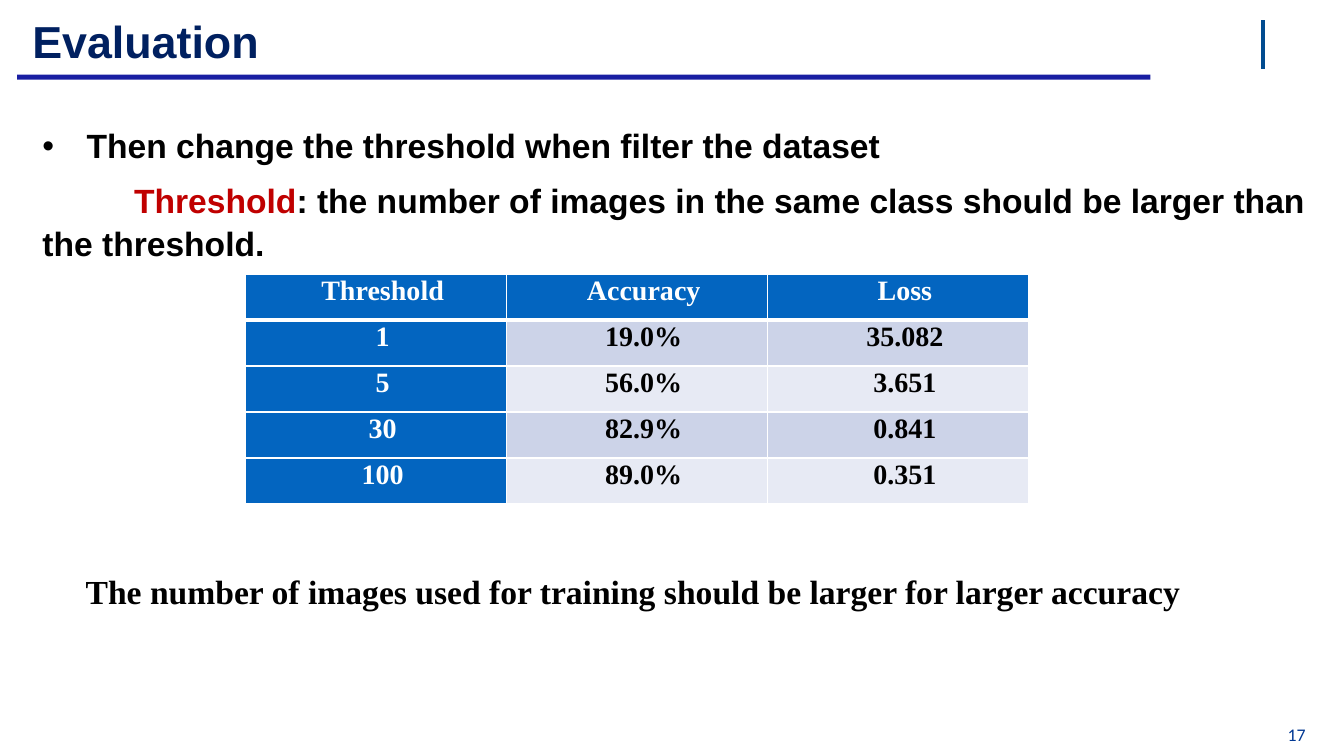
from lxml.etree import SubElement
from pptx import Presentation
from pptx.dml.color import RGBColor
from pptx.enum.shapes import MSO_CONNECTOR as Connector, MSO_SHAPE as Shape
from pptx.enum.text import MSO_ANCHOR as Anchor, MSO_AUTO_SIZE as AutoSize, PP_ALIGN as Align
from pptx.oxml import parse_xml
from pptx.oxml.ns import nsdecls, qn
from pptx.util import Emu, Pt

EMU_PER_PX = 9144
SERIF = "Times New Roman"
BLUE, WHITE, BLACK = "0365C0", "FFFFFF", "000000"
BAND_COLORS = ["CCD3E8", "E7EAF4"]
RESULTS = [
    ["Threshold", "Accuracy", "Loss"],
    ["1", "19.0%", "35.082"],
    ["5", "56.0%", "3.651"],
    ["30", "82.9%", "0.841"],
    ["100", "89.0%", "0.351"],
]


def px(length):
    return Emu(length * EMU_PER_PX)


def color(value):
    return RGBColor.from_string(value)


def format_run(run, size, name, value, bold=True):
    run.font.size = Pt(size)
    run.font.name = name
    run.font.bold = bold
    run.font.color.rgb = color(value)


def place(shape, left, top, width, height):
    shape.left, shape.top = px(left), px(top)
    shape.width, shape.height = px(width), px(height)


def set_frame(frame, inset, anchor, wrap=True):
    frame.margin_left = frame.margin_right = px(inset)
    frame.margin_top = frame.margin_bottom = px(inset)
    frame.vertical_anchor = anchor
    frame.word_wrap = wrap
    frame.auto_size = AutoSize.NONE if wrap else AutoSize.SHAPE_TO_FIT_TEXT


def set_indent(paragraph, left, first):
    properties = paragraph._p.get_or_add_pPr()
    properties.set("marL", str(px(left)))
    properties.set("indent", str(px(first)))
    return properties


def add_rule(slide):
    rule = slide.shapes.add_shape(Shape.RECTANGLE, px(17), px(74), px(1124), px(5))
    rule.shadow.inherit = False
    rule.fill.solid()
    rule.fill.fore_color.rgb = color("191EA2")
    rule.line.fill.background()


def add_divider(slide):
    divider = slide.shapes.add_connector(Connector.STRAIGHT, px(1253), px(20), px(1253), px(68))
    divider.line.color.rgb = color("024C90")
    divider.line.width = Pt(3)
    SubElement(divider._element.spPr, qn("a:effectLst"))


def fill_title(slide):
    title = slide.shapes.title
    place(title, 18, 1, 1117, 78)
    set_frame(title.text_frame, 14, Anchor.MIDDLE)
    title.text_frame.text = "Evaluation"
    paragraph = title.text_frame.paragraphs[0]
    paragraph.alignment = Align.LEFT
    format_run(paragraph.runs[0], 32, "Arial", "002060")


def fill_body(slide):
    body = slide.placeholders[1]
    place(body, 18, 122, 1295, 530)
    frame = body.text_frame
    set_frame(frame, 0, Anchor.TOP)
    frame.text = "Then change the threshold when filter the dataset"
    bullet, definition = frame.paragraphs[0], frame.add_paragraph()
    definition.add_run().text = "Threshold"
    definition.add_run().text = (
        ": the number of images in the same class should be larger than the threshold."
    )
    for paragraph in frame.paragraphs:
        paragraph.space_before = Pt(8.4)
        paragraph.line_spacing = 1.06
        for run in paragraph.runs:
            format_run(run, 24, "Arial", BLACK)
    definition.runs[0].font.color.rgb = color("C00000")
    SubElement(set_indent(bullet, 68, -44), qn("a:buChar")).set("char", "•")
    SubElement(set_indent(definition, 24, 91), qn("a:buNone"))


def add_label(slide, text, box, inset, anchor, align, size, name, value, bold):
    label = slide.shapes.add_textbox(*map(px, box))
    set_frame(label.text_frame, inset, anchor, wrap=False)
    label.text_frame.text = text
    paragraph = label.text_frame.paragraphs[0]
    paragraph.alignment = align
    format_run(paragraph.runs[0], size, name, value, bold)


def set_border(cell, side, width):
    cell._tc.get_or_add_tcPr().append(parse_xml(
        f'<a:{side} {nsdecls("a")} w="{Pt(width)}"><a:solidFill>'
        f'<a:srgbClr val="{WHITE}"/></a:solidFill></a:{side}>'
    ))


def format_cell(cell, row, column):
    is_heading = row == 0 or column == 0
    cell.margin_left = cell.margin_right = px(7)
    cell.margin_top = cell.margin_bottom = 0
    for side in ("lnL", "lnR", "lnT", "lnB"):
        heavy = (row, side) in [(0, "lnB"), (1, "lnT")]
        set_border(cell, side, 3 if heavy else 1)
    cell.fill.solid()
    cell.fill.fore_color.rgb = color(BLUE if is_heading else BAND_COLORS[(row - 1) % 2])
    paragraph = cell.text_frame.paragraphs[0]
    paragraph.alignment = Align.CENTER
    paragraph.line_spacing = 1.05
    set_indent(paragraph, 0, 14)
    format_run(paragraph.runs[0], 20, SERIF, WHITE if is_heading else BLACK)


def add_results(slide):
    rows, columns = len(RESULTS), len(RESULTS[0])
    table = slide.shapes.add_table(rows, columns, px(243), px(272), px(777), px(228)).table
    for row, values in enumerate(RESULTS):
        for column, value in enumerate(values):
            cell = table.cell(row, column)
            cell.text = value
            format_cell(cell, row, column)


def main():
    presentation = Presentation()
    presentation.slide_width, presentation.slide_height = px(1333), px(750)
    slide = presentation.slides.add_slide(presentation.slide_layouts[1])
    add_rule(slide)
    add_divider(slide)
    fill_title(slide)
    fill_body(slide)
    add_label(slide, "17", (1275, 718, 22, 21), 0, Anchor.TOP, Align.CENTER,
              12.7, "Calibri", "003893", False)
    add_results(slide)
    add_label(slide, "The number of images used for training should be larger for larger accuracy",
              (79, 560, 1107, 52), 6, Anchor.MIDDLE, Align.LEFT, 24, SERIF, BLACK, True)
    presentation.save("out.pptx")


if __name__ == "__main__":
    main()
